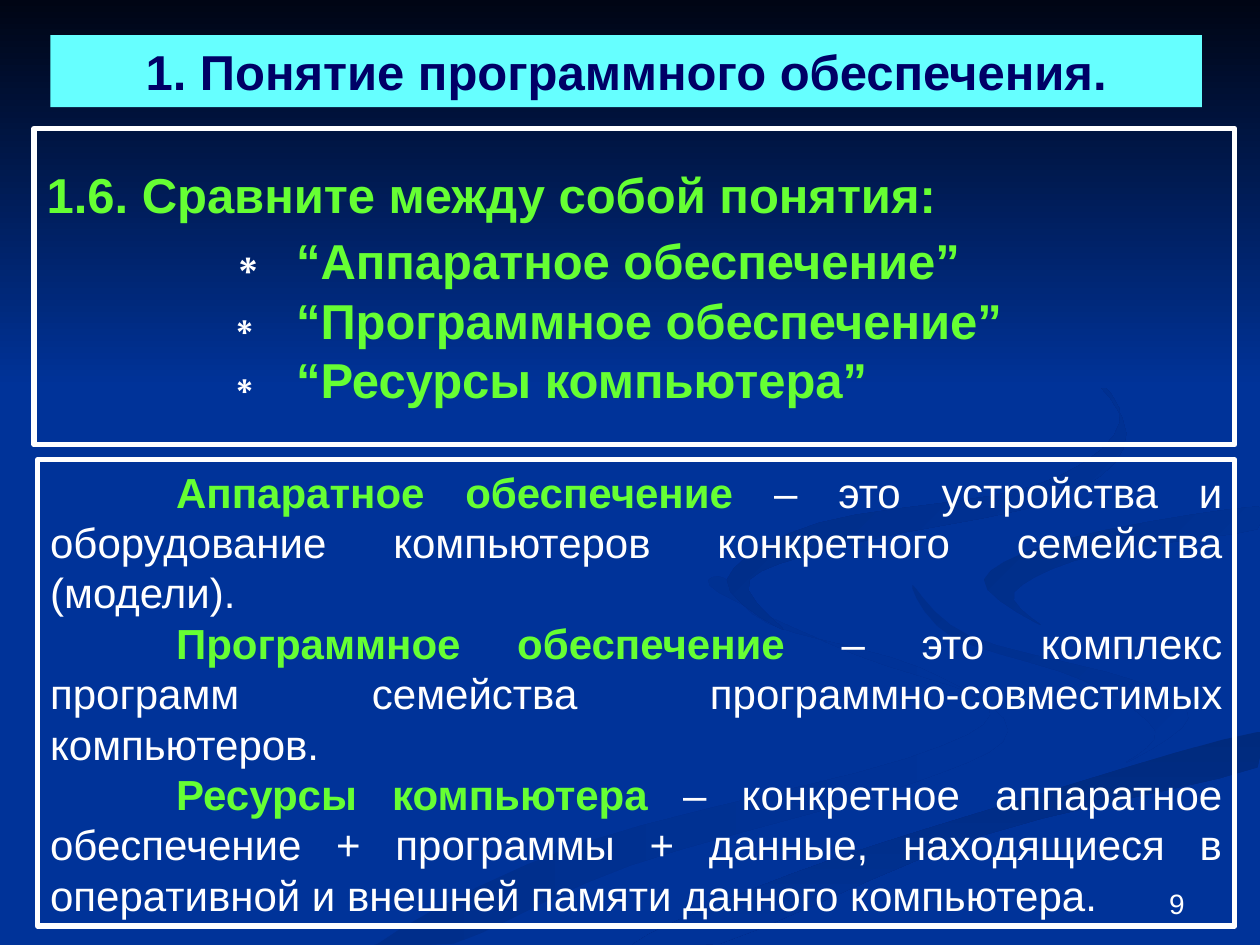
from pptx import Presentation
from pptx.dml.color import RGBColor
from pptx.enum.shapes import MSO_SHAPE
from pptx.enum.text import MSO_ANCHOR, MSO_AUTO_SIZE, PP_ALIGN
from pptx.util import Inches, Pt

COLORS = {
    "back": "003399", "night": "000514", "white": "FFFFFF",
    "lime": "66FF33", "aqua": "66FFFF", "navy": "000066",
    "dusk": "002E8B", "deep": "002A7D", "shade": "002D86", "dim": "002B82",
}
COLS, ROWS = 100, 75
STEPS = 5

WAVES = [
    ("dusk", 0, [(57.5, 45.9), (61, 49.5), (73, 53), (80, 58), (72, 62.3), (50, 68.7),
                 (36, 74.9), (30, 74.9), (46, 67), (72, 60.2), (78.5, 56), (68, 52), (57, 47)]),
    ("dusk", 45, [(72.4, 46.4), (77, 50.5), (90, 54), (94.3, 57), (89.4, 60.5),
                  (91.7, 58), (86, 54), (75.5, 50.5)]),
    ("deep", 90, [(50.3, 74.9), (63, 69.3), (80, 63.8), (99.8, 58.1),
                  (99.8, 60.9), (78, 66.3), (57.1, 74.9)]),
    ("shade", 45, [(78.1, 46), (82.6, 49.6), (80.5, 47), (87, 44), (99.8, 42),
                   (99.8, 40.2), (85, 42.7)]),
    ("dim", 45, [(76.2, 23.3), (84, 27.5), (89.4, 34.4), (84, 39.6), (68.3, 43),
                 (59.5, 46), (62.2, 50), (57.7, 46), (65, 41.5), (82, 38.6),
                 (88.9, 33.5), (84.6, 27.9)]),
]

THEMES = ["“Аппаратное обеспечение”", "“Программное обеспечение”", "“Ресурсы компьютера”"]
TERMS = [
    ("Аппаратное обеспечение ",
     "– это устройства и оборудование компьютеров конкретного семейства (модели)."),
    ("Программное обеспечение ",
     "– это комплекс программ семейства программно-совместимых компьютеров."),
    ("Ресурсы компьютера ",
     "– конкретное аппаратное обеспечение + программы + данные, находящиеся "
     "в оперативной и внешней памяти данного компьютера."),
]


def tint(name):
    return RGBColor.from_string(COLORS[name])


def bend(a, b, c, d, t):
    return (2 * b + (c - a) * t + (2 * a - 5 * b + 4 * c - d) * t ** 2
            + (3 * b - a - 3 * c + d) * t ** 3) / 2


def curve(knots):
    count = len(knots)
    for i in range(count):
        near = [knots[(i + k) % count] for k in (-1, 0, 1, 2)]
        for step in range(STEPS):
            x, y = (bend(*axis, step / STEPS) for axis in zip(*near))
            yield min(x, COLS), min(y, ROWS)


class Deck:
    face = "Arial"

    def __init__(self):
        self.prs = Presentation()
        self.prs.slide_width, self.prs.slide_height = Inches(10), Inches(7.5)
        self.col = self.prs.slide_width // COLS
        self.row = self.prs.slide_height // ROWS
        self.slide = self.prs.slides.add_slide(self.prs.slide_layouts[5])
        self.shapes = self.slide.shapes
        fill = self.slide.background.fill
        fill.solid()
        fill.fore_color.rgb = tint("back")

    def area(self, x, y, w, h):
        return [int(n) for n in (x * self.col, y * self.row, w * self.col, h * self.row)]

    def blend(self, shape, first, angle):
        shape.shadow.inherit = False
        shape.line.fill.background()
        shape.fill.gradient()
        shape.fill.gradient_angle = (360 - angle) % 360
        for stop, name in zip(shape.fill.gradient_stops, (first, "back")):
            stop.color.rgb = tint(name)

    def wave(self, name, angle, knots):
        points = [(int(x * self.col), int(y * self.row)) for x, y in curve(knots)]
        build = self.shapes.build_freeform(*points[0])
        build.add_line_segments(points[1:], close=True)
        self.blend(build.convert_to_shape(), name, angle)

    def sky(self, *cells):
        shape = self.shapes.add_shape(MSO_SHAPE.RECTANGLE, *self.area(*cells))
        self.blend(shape, "night", 90)

    def frame(self, shape):
        shape.line.color.rgb = tint("white")
        shape.line.width = Pt(3)

    def setup(self, shape, anchor):
        text = shape.text_frame
        text.word_wrap = True
        text.auto_size = MSO_AUTO_SIZE.NONE
        text.vertical_anchor = anchor
        return text

    def panel(self, cells, fill=None):
        shape = self.shapes.add_shape(MSO_SHAPE.RECTANGLE, *self.area(*cells))
        shape.shadow.inherit = False
        if fill:
            shape.fill.solid()
            shape.fill.fore_color.rgb = tint(fill)
            shape.line.fill.background()
        else:
            shape.fill.background()
            self.frame(shape)
        return self.setup(shape, MSO_ANCHOR.TOP)

    def title(self, cells):
        shape = self.shapes.title
        self.shapes._spTree.append(shape._element)
        shape.left, shape.top, shape.width, shape.height = self.area(*cells)
        self.frame(shape)
        return self.setup(shape, MSO_ANCHOR.MIDDLE)

    def label(self, cells):
        return self.setup(self.shapes.add_textbox(*self.area(*cells)), MSO_ANCHOR.BOTTOM)

    def para(self, text, runs, size, align, left=0, indent=0):
        para = text.paragraphs[0]
        if para.runs:
            para = text.add_paragraph()
        para.alignment = align
        props = para._p.get_or_add_pPr()
        props.set("marL", str(int(left * self.col)))
        props.set("indent", str(int(indent * self.col)))
        para.font.name, para.font.size = self.face, Pt(size)
        for words, color, bold in runs:
            run = para.add_run()
            run.text = words
            run.font.bold = bold
            run.font.color.rgb = tint(color)
        return para


def main():
    deck = Deck()
    for wave in WAVES:
        deck.wave(*wave)
    deck.sky(0, 0, COLS, 30.8)

    page = deck.label((71.7, 68.3, 23.3, 5.2))
    deck.para(page, [("9", "white", False)], 16, PP_ALIGN.RIGHT)

    ask = deck.title((2.7, 10.2, 95.3, 25.1))
    deck.para(ask, [("1.6. Сравните между собой понятия:", "lime", True)], 28, PP_ALIGN.LEFT)
    for theme in THEMES:
        runs = [("∗\t", "white", True), (theme, "lime", True)]
        para = deck.para(ask, runs, 28, PP_ALIGN.LEFT, 19.8, -6)
        if theme == THEMES[0]:
            para.runs[0].font.size = Pt(32)

    head = deck.panel((4, 2.8, 91.4, 5.7), "aqua")
    deck.para(head, [("1. Понятие программного обеспечения.", "navy", True)], 28, PP_ALIGN.CENTER)

    body = deck.panel((3, 36.5, 95, 37))
    for term, words in TERMS:
        runs = [(term, "lime", True), (words, "white", False)]
        deck.para(body, runs, 24, PP_ALIGN.JUSTIFY, indent=10)

    deck.prs.save("out.pptx")


if __name__ == "__main__":
    main()
